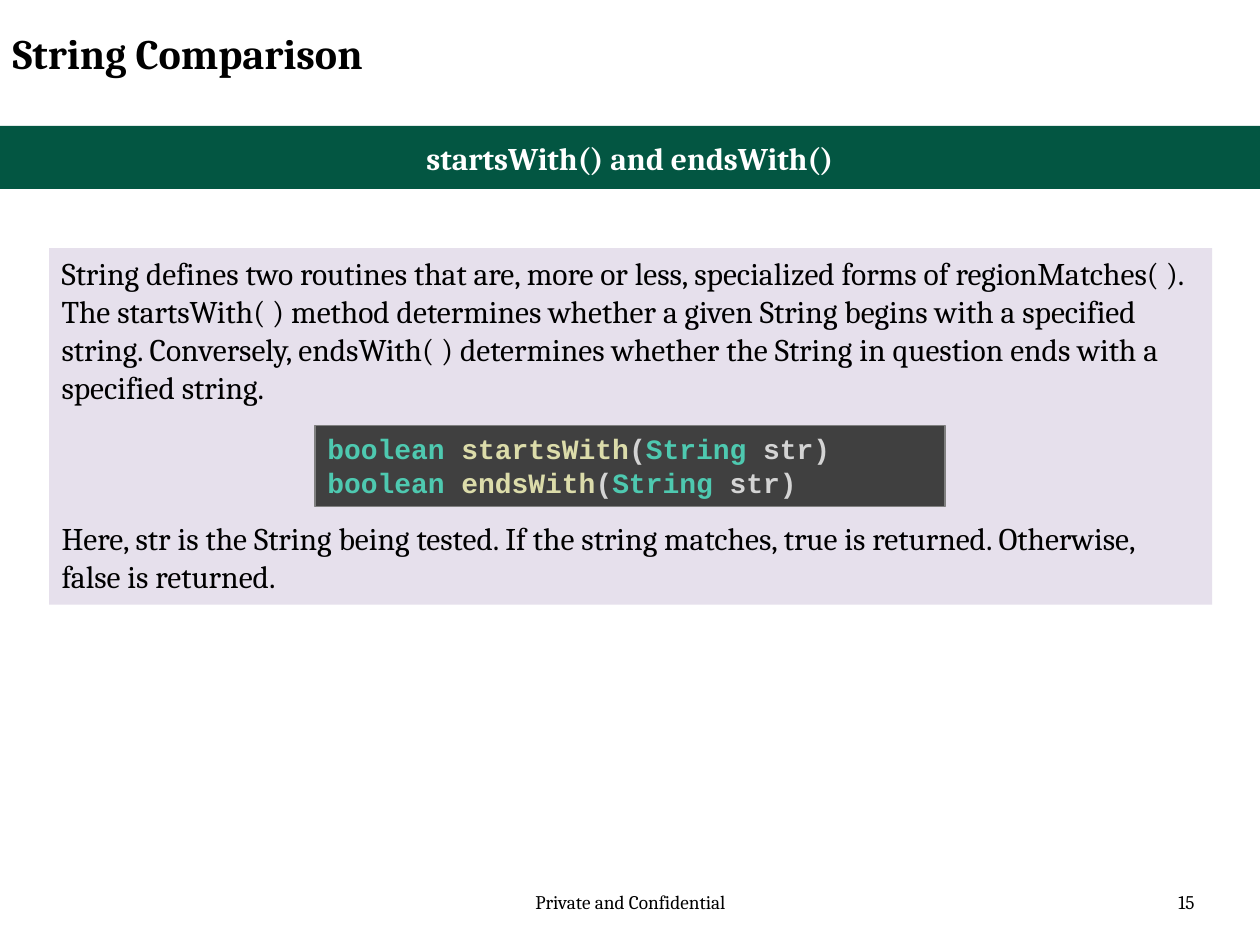
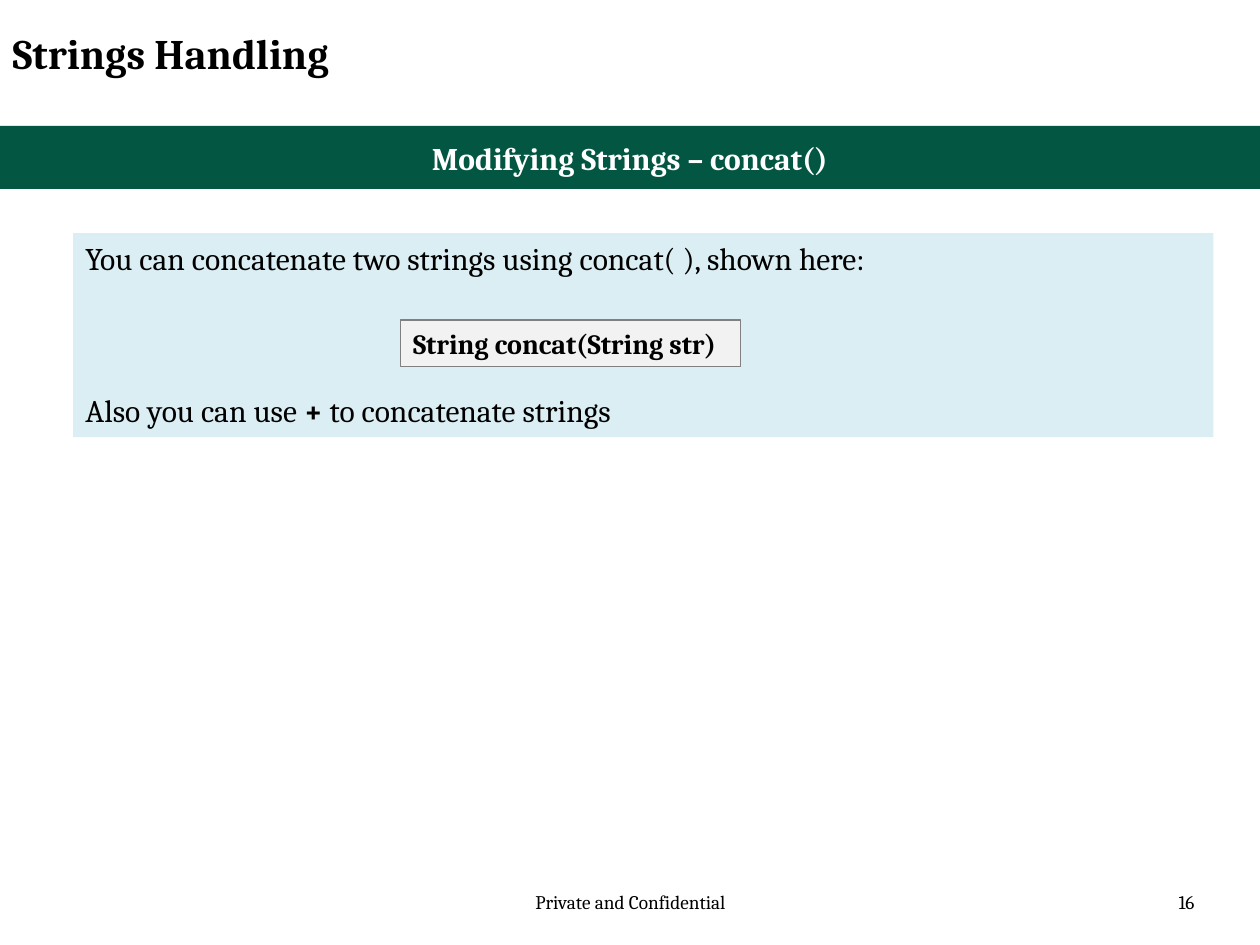
"""Build two slides on Java string methods."""
from dataclasses import dataclass
from typing import NamedTuple

from lxml import etree
from pptx import Presentation
from pptx import util as u
from pptx.dml.color import RGBColor
from pptx.enum import shapes, text
from pptx.oxml.ns import qn

COLS, ROWS = 100, 75
FONT, CODE = "Cambria", "Courier New"
HUES = {
    "ink": "000000", "white": "FFFFFF", "band": "035642", "edge": "808080",
    "lilac": "E6E0EC", "sky": "DBEEF4", "dark": "404040", "pale": "F2F2F2",
    "type": "4EC9B0", "call": "DCDCAA", "plain": "D4D4D4",
}
LEFT, MID, RIGHT = text.PP_ALIGN.LEFT, text.PP_ALIGN.CENTER, text.PP_ALIGN.RIGHT


class Box(NamedTuple):
    """Place and size in grid columns and rows."""
    col: float
    row: float
    wide: float
    high: float


class Run(NamedTuple):
    """Words with their own colour or weight."""
    words: str
    hue: str | None = None
    bold: bool | None = None


@dataclass(frozen=True)
class Panel:
    """Filled box holding paragraphs of runs."""
    box: Box
    fill: str
    paras: list[list[Run]]
    edge: str | None = None
    font: str = FONT
    size: float = 18
    bold: bool = False
    gap: float = 0


@dataclass(frozen=True)
class Page:
    """Title, band heading and panels of one slide."""
    title: str
    head: str
    panels: list[Panel]


TITLE = Box(0, 1.7, 75.8, 6.2)
BAND = Box(0, 10, COLS, 5)
FOOT = Box(34.2, 70.2, 31.7, 4)
NUMBER = Box(72.5, 70.2, 23.3, 4)
GAP = 65
FIRST = 15


def sign(name: str) -> list[Run]:
    """Return the coloured signature of a test method."""
    return [Run("boolean ", "type"), Run(name, "call"), Run("(", "plain"),
            Run("String ", "type"), Run("str)", "plain")]


PAGES = [
    Page("String Comparison", "startsWith() and endsWith()", [
        Panel(Box(3.9, 19.7, 92.3, 28.3), "lilac", [
            [Run("String defines two routines that are, more or less, specialized "
                 "forms of regionMatches( ). The startsWith( ) method determines "
                 "whether a given String begins with a specified string. "
                 "Conversely, endsWith( ) determines whether the String in "
                 "question ends with a specified string.")],
            [Run("Here, str is the String being tested. If the string matches, "
                 "true is returned. Otherwise, false is returned.")],
        ], gap=GAP),
        Panel(Box(25, 33.8, 50, 6.4), "dark", [sign("startsWith"), sign("endsWith")],
              edge="edge", font=CODE, size=16, bold=True),
    ]),
    Page("Strings Handling", "Modifying Strings – concat()", [
        Panel(Box(5.8, 18.5, 90.5, 16.2), "sky", [
            [Run("You can concatenate two strings using concat( ), shown here:")],
            [Run("Also you can use "), Run("+ ", bold=True),
             Run("to concatenate strings")],
        ], gap=GAP),
        Panel(Box(31.8, 25.4, 27, 3.7), "pale", [[Run("String concat(String str)")]],
              edge="edge", size=16, bold=True),
    ]),
]


def tint(hue: str) -> RGBColor:
    """Return the named colour."""
    return RGBColor.from_string(HUES[hue])


def place(deck, box: Box) -> list[int]:
    """Turn grid units into slide lengths."""
    x, y = deck.slide_width / COLS, deck.slide_height / ROWS
    return [round(n) for n in (box.col * x, box.row * y, box.wide * x, box.high * y)]


def write(frame, paras: list[list[Run]], *, size: float, font: str = FONT,
          hue: str = "ink", bold: bool = False, align=LEFT,
          anchor=text.MSO_ANCHOR.TOP, gap: float = 0) -> None:
    """Fill a text frame with formatted paragraphs."""
    frame.word_wrap = True
    frame.auto_size = text.MSO_AUTO_SIZE.NONE
    frame.vertical_anchor = anchor
    for i, runs in enumerate(paras):
        para = frame.add_paragraph() if i else frame.paragraphs[0]
        para.alignment = align
        para.space_before = u.Pt(gap if i else 0)
        for part in runs:
            run = para.add_run()
            run.text = part.words
            run.font.name, run.font.size = font, u.Pt(size)
            run.font.bold = bold if part.bold is None else part.bold
            run.font.color.rgb = tint(part.hue or hue)


def block(deck, slide, box: Box, fill: str, edge: str | None = None):
    """Draw a filled rectangle and return its text frame."""
    rect = slide.shapes.add_shape(shapes.MSO_SHAPE.RECTANGLE, *place(deck, box))
    rect.shadow.inherit = False
    rect.fill.solid()
    rect.fill.fore_color.rgb = tint(fill)
    if edge:
        rect.line.color.rgb = tint(edge)
        rect.line.width = u.Pt(0.75)
    else:
        rect.line.fill.background()
    return rect.text_frame


def number(frame) -> None:
    """Turn the only run into a slide number field."""
    run = frame.paragraphs[0].runs[0]._r
    field = etree.Element(qn("a:fld"), type="slidenum",
                          id="{B6F15528-21DE-4FAA-801E-634DDDAF4B2B}")
    run.getparent().replace(run, field)
    field.extend(list(run))


def frame(deck, slide, page: Page, count: int) -> None:
    """Draw the title, band and footers that each slide shares."""
    title = slide.shapes.title
    title.left, title.top, title.width, title.height = place(deck, TITLE)
    write(title.text_frame, [[Run(page.title)]], size=24, bold=True)
    write(block(deck, slide, BAND, "band"), [[Run(page.head)]], size=18,
          hue="white", bold=True, align=MID, anchor=text.MSO_ANCHOR.MIDDLE)
    foot = slide.shapes.add_textbox(*place(deck, FOOT)).text_frame
    write(foot, [[Run("Private and Confidential")]], size=11, align=MID)
    num = slide.shapes.add_textbox(*place(deck, NUMBER)).text_frame
    write(num, [[Run(str(count))]], size=11, align=RIGHT)
    number(num)


def main() -> None:
    """Build and save the deck."""
    deck = Presentation()
    deck.slide_width, deck.slide_height = u.Inches(10), u.Inches(7.5)
    deck.element.set("firstSlideNum", str(FIRST))
    for count, page in enumerate(PAGES, FIRST):
        slide = deck.slides.add_slide(deck.slide_layouts[5])
        frame(deck, slide, page, count)
        for p in page.panels:
            write(block(deck, slide, p.box, p.fill, p.edge), p.paras,
                  size=p.size, font=p.font, bold=p.bold, gap=p.gap)
    deck.save("out.pptx")


if __name__ == "__main__":
    main()
